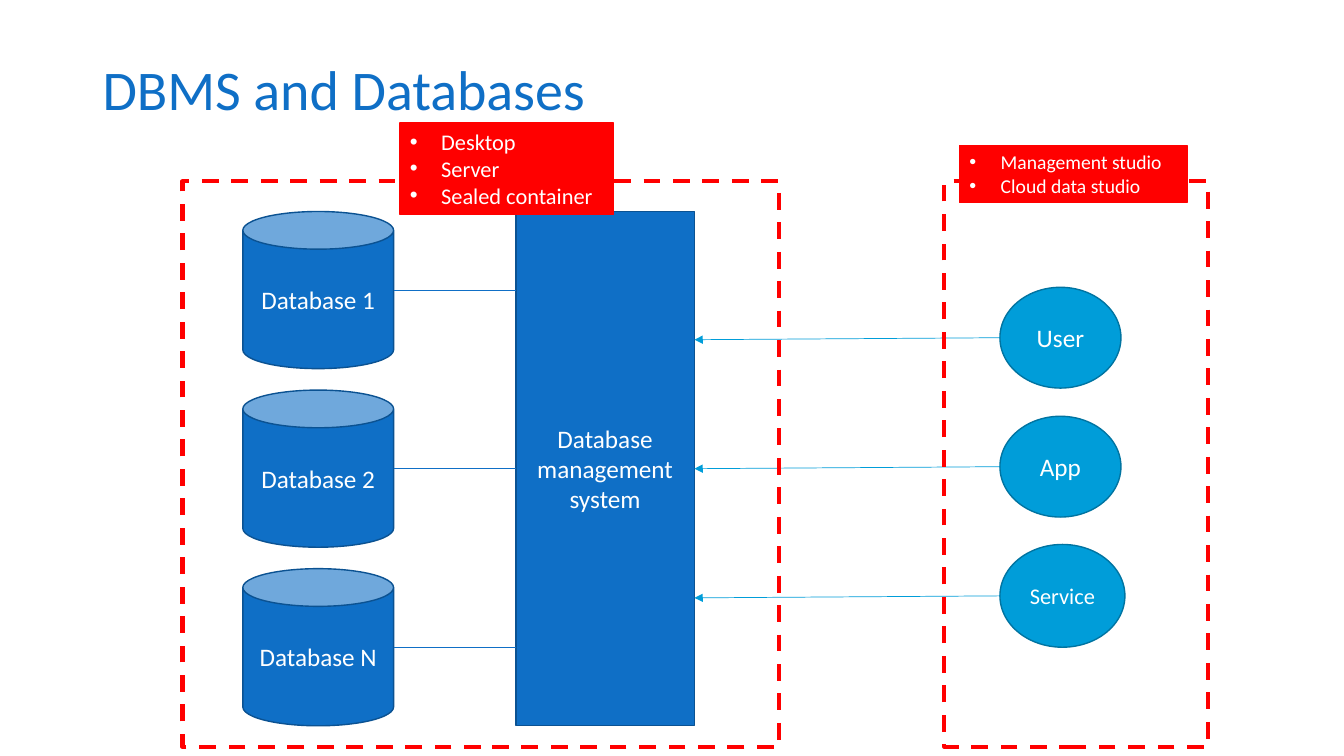
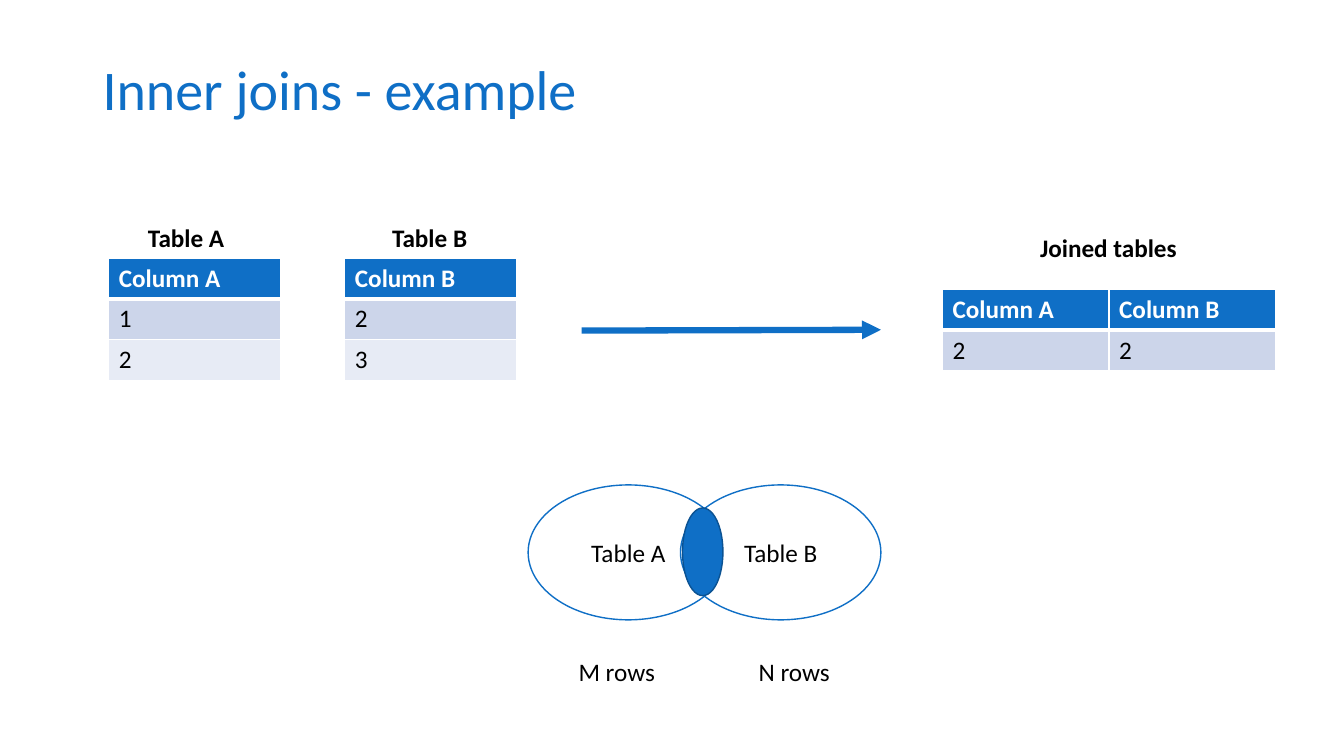
from dataclasses import dataclass
from typing import NamedTuple, Optional

from lxml import etree
from pptx import Presentation
from pptx.dml import color
from pptx.enum import dml, shapes, text
from pptx.oxml import ns
from pptx.util import Cm, Pt


@dataclass(frozen=True)
class Theme:
    font: str = "Calibri"
    white: str = "FFFFFF"
    black: str = "000000"
    blue: str = "0F6FC6"
    blue_edge: str = "0B5292"
    cyan: str = "009DD9"
    cyan_edge: str = "0074A1"
    red: str = "FF0000"
    bands: tuple = ("CCD5EA", "E7EBF5")
    title_size: float = 40
    body_size: float = 18
    note_size: float = 16
    small_size: float = 14


THEME = Theme()


class Area(NamedTuple):
    """A rectangle in centimetres."""
    left: float
    top: float
    width: float
    height: float

    @property
    def right(self) -> float:
        return self.left + self.width

    @property
    def middle(self) -> float:
        return self.top + self.height / 2

    def lengths(self) -> list:
        return [Cm(value) for value in self]


class Look(NamedTuple):
    fill: Optional[str]
    line: str
    ink: str = THEME.white
    width: float = 1
    dashed: bool = False


class Client(NamedTuple):
    label: str
    area: Area
    size: float = THEME.body_size


class Note(NamedTuple):
    area: Area
    items: tuple
    size: float


class Grid(NamedTuple):
    """A small table with a caption above it."""
    left: float
    top: float
    column_width: float
    rows: tuple
    caption: str
    caption_area: Area


STORE = Look(THEME.blue, THEME.blue_edge)
CLIENT = Look(THEME.cyan, THEME.cyan_edge)
FRAME = Look(None, THEME.red, width=3, dashed=True)
NOTE = Look(THEME.red, THEME.red)
SET = Look(THEME.white, THEME.blue, THEME.black)

TITLE_AREA = Area(2.33, 1.01, 29.21, 2.65)
ROW_HEIGHT = 1.03

DBMS = Area(13, 5.33, 4.5, 12.95)
DATABASES = ("Database 1", "Database 2", "Database N")
DATABASE_STEP = 4.5
CLIENTS = (
    Client("User", Area(25.2, 7.24, 3.05, 2.54)),
    Client("App", Area(25.2, 10.49, 3.05, 2.54)),
    Client("Service", Area(25.2, 13.72, 3.15, 2.59), THEME.note_size),
)
FRAMES = (Area(4.6, 4.57, 15.04, 14.25), Area(23.8, 4.57, 6.65, 14.25))
NOTES = (
    Note(Area(10.08, 3.1, 5.38, 2.31),
         ("Desktop", "Server", "Sealed container"), THEME.note_size),
    Note(Area(24.18, 3.66, 5.74, 1.45),
         ("Management studio", "Cloud data studio"), THEME.small_size),
)

GRIDS = (
    Grid(2.74, 6.5, 4.34, (("Column A",), ("1",), ("2",)),
         "Table A", Area(3.48, 5.49, 2.44, 1.02)),
    Grid(8.69, 6.5, 4.34, (("Column B",), ("2",), ("3",)),
         "Table B", Area(9.63, 5.49, 2.41, 1.02)),
    Grid(23.75, 7.29, 4.2, (("Column A", "Column B"), ("2", "2")),
         "Joined tables", Area(25.96, 5.74, 3.99, 1.02)),
)
SETS = (("Table A", Area(13.31, 12.22, 5.05, 3.4)),
        ("Table B", Area(17.15, 12.22, 5.05, 3.4)))
OVERLAP = Area(17.2, 12.8, 1.02, 2.21)
ROW_COUNTS = (("M rows", Area(14.33, 16.41, 2.49, 1.02)),
              ("N rows", Area(18.87, 16.41, 2.49, 1.02)))


def rgb(code: str) -> color.RGBColor:
    return color.RGBColor.from_string(code)


def add_xml(parent, tag: str, **attributes: str):
    return etree.SubElement(parent, ns.qn(tag), attributes)


def style_text(frame, size: float, ink: str, bold: bool = False) -> None:
    for para in frame.paragraphs:
        for span in para.runs:
            span.font.name = THEME.font
            span.font.size = Pt(size)
            span.font.bold = bold
            span.font.color.rgb = rgb(ink)


def add_page(deck, title: str):
    page = deck.slides.add_slide(deck.slide_layouts[5])
    box = page.shapes.title
    box.left, box.top, box.width, box.height = TITLE_AREA.lengths()
    frame = box.text_frame
    frame.text = title
    frame.vertical_anchor = text.MSO_ANCHOR.MIDDLE
    frame.paragraphs[0].alignment = text.PP_ALIGN.LEFT
    frame.paragraphs[0].line_spacing = 0.9
    style_text(frame, THEME.title_size, THEME.blue)
    return page


def add_block(page, kind, area: Area, look: Look, label: str = "",
              size: float = THEME.body_size):
    box = page.shapes.add_shape(kind, *area.lengths())
    box.shadow.inherit = False
    if look.fill:
        box.fill.solid()
        box.fill.fore_color.rgb = rgb(look.fill)
    else:
        box.fill.background()
    box.line.color.rgb = rgb(look.line)
    box.line.width = Pt(look.width)
    if look.dashed:
        box.line.dash_style = dml.MSO_LINE.DASH
    if label:
        frame = box.text_frame
        frame.text = label
        frame.word_wrap = True
        frame.vertical_anchor = text.MSO_ANCHOR.MIDDLE
        for para in frame.paragraphs:
            para.alignment = text.PP_ALIGN.CENTER
        style_text(frame, size, look.ink)
    return box


def add_note(page, note: Note) -> None:
    """Draw a red box with a bulleted list."""
    box = add_block(page, shapes.MSO_SHAPE.RECTANGLE, note.area, NOTE,
                    "\n".join(note.items), note.size)
    box.text_frame.vertical_anchor = text.MSO_ANCHOR.TOP
    indent = Cm(0.79)
    for para in box.text_frame.paragraphs:
        para.alignment = text.PP_ALIGN.LEFT
        props = para._p.get_or_add_pPr()
        props.set("marL", str(indent))
        props.set("indent", str(-indent))
        add_xml(props, "a:buFont", typeface="Arial")
        add_xml(props, "a:buChar", char="•")


def add_line(page, start: tuple, end: tuple, ink: str, width: float,
             arrow: bool = False) -> None:
    line = page.shapes.add_connector(
        shapes.MSO_CONNECTOR.STRAIGHT, *[Cm(value) for value in start + end])
    line.line.color.rgb = rgb(ink)
    line.line.width = Pt(width)
    if arrow:
        add_xml(line.line._get_or_add_ln(), "a:tailEnd", type="triangle")
    add_xml(line._element.spPr, "a:effectLst")


def add_label(page, label: str, area: Area, bold: bool = False) -> None:
    frame = page.shapes.add_textbox(*area.lengths()).text_frame
    frame.word_wrap = False
    frame.text = label
    style_text(frame, THEME.body_size, THEME.black, bold)


def add_borders(cell, row: int) -> None:
    """Draw white borders, heavier between header and body."""
    widths = {"L": 1, "R": 1, "T": 3 if row == 1 else 1, "B": 3 if row == 0 else 1}
    props = cell._tc.get_or_add_tcPr()
    for place, (side, width) in enumerate(widths.items()):
        border = add_xml(props, f"a:ln{side}", w=str(Pt(width)))
        add_xml(add_xml(border, "a:solidFill"), "a:srgbClr", val=THEME.white)
        props.insert(place, border)


def add_grid(page, grid: Grid) -> None:
    row_count, column_count = len(grid.rows), len(grid.rows[0])
    area = Area(grid.left, grid.top, grid.column_width * column_count,
                ROW_HEIGHT * row_count)
    table = page.shapes.add_table(row_count, column_count, *area.lengths()).table
    for row, values in enumerate(grid.rows):
        header = row == 0
        fill = THEME.blue if header else THEME.bands[(row - 1) % 2]
        for column, value in enumerate(values):
            cell = table.cell(row, column)
            cell.text_frame.text = value
            style_text(cell.text_frame, THEME.body_size,
                       THEME.white if header else THEME.black, header)
            cell.fill.solid()
            cell.fill.fore_color.rgb = rgb(fill)
            add_borders(cell, row)
    add_label(page, grid.caption, grid.caption_area, bold=True)


def build_databases(deck) -> None:
    page = add_page(deck, "DBMS and Databases")
    add_block(page, shapes.MSO_SHAPE.RECTANGLE, DBMS, STORE,
              "Database management system")
    for index, name in enumerate(DATABASES):
        area = Area(6.12, DBMS.top + index * DATABASE_STEP, 3.8, 3.96)
        add_block(page, shapes.MSO_SHAPE.CAN, area, STORE, name)
        add_line(page, (area.right, area.middle), (DBMS.left, area.middle),
                 THEME.blue, 0.5)
    for label, area, size in CLIENTS:
        add_block(page, shapes.MSO_SHAPE.OVAL, area, CLIENT, label, size)
        add_line(page, (area.left, area.middle),
                 (DBMS.right, area.middle + 0.05), THEME.cyan, 0.5, arrow=True)
    for area in FRAMES:
        add_block(page, shapes.MSO_SHAPE.RECTANGLE, area, FRAME)
    for note in NOTES:
        add_note(page, note)


def build_joins(deck) -> None:
    page = add_page(deck, "Inner joins - example")
    for grid in GRIDS:
        add_grid(page, grid)
    for label, area in SETS:
        add_block(page, shapes.MSO_SHAPE.OVAL, area, SET, label)
    add_block(page, shapes.MSO_SHAPE.OVAL, OVERLAP, STORE)
    for label, area in ROW_COUNTS:
        add_label(page, label, area)
    add_line(page, (14.66, 8.33), (22.2, 8.31), THEME.blue, 4.5, arrow=True)


def main() -> None:
    deck = Presentation()
    deck.slide_width, deck.slide_height = Cm(33.87), Cm(19.05)
    build_databases(deck)
    build_joins(deck)
    deck.save("out.pptx")


if __name__ == "__main__":
    main()
